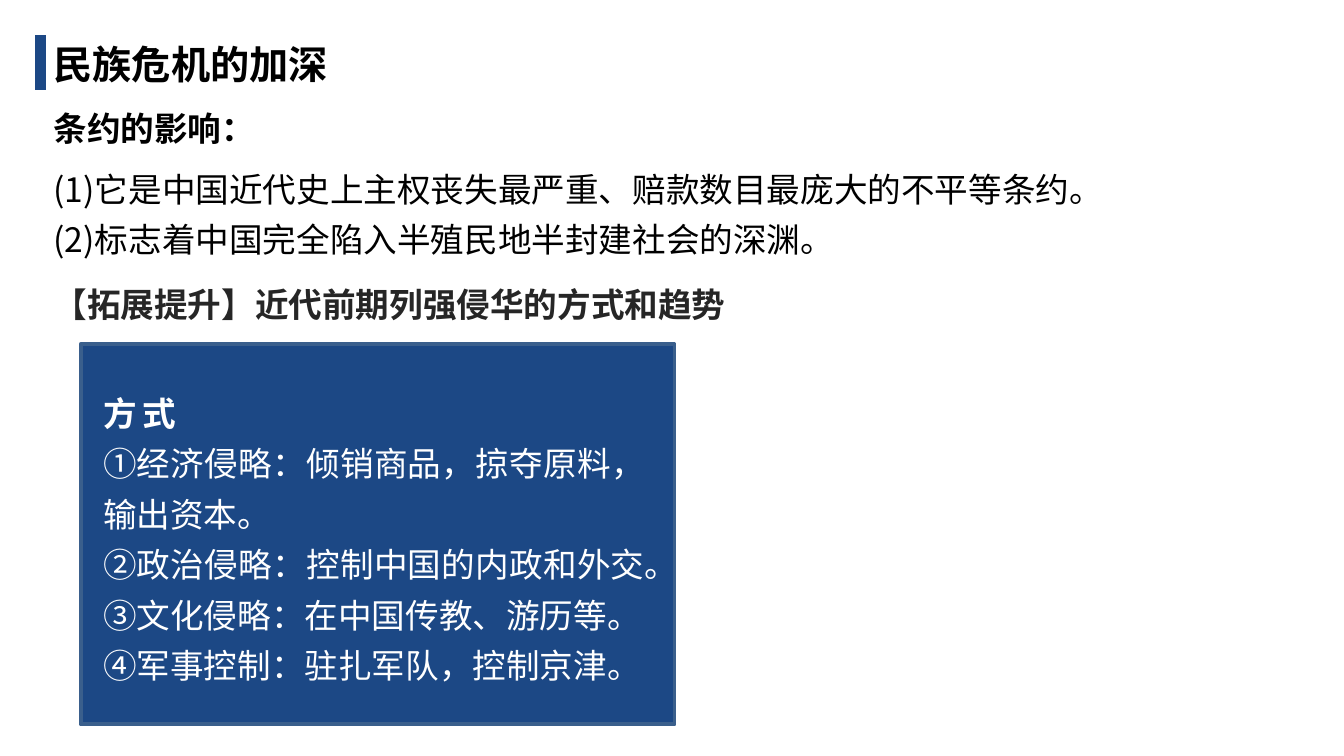
from lxml.etree import SubElement
from pptx import Presentation
from pptx.dml.color import RGBColor
from pptx.enum.shapes import MSO_CONNECTOR as Link, MSO_SHAPE as Shape
from pptx.enum.text import MSO_AUTO_SIZE as Fit, PP_ALIGN as Align
from pptx.oxml.ns import qn
from pptx.util import Pt

FONT = "Noto Sans CJK SC"
BLACK = RGBColor(0x00, 0x00, 0x00)
GREY = RGBColor(0x26, 0x26, 0x26)
WHITE = RGBColor(0xFF, 0xFF, 0xFF)
NAVY = RGBColor(0x1C, 0x48, 0x85)
EDGE = RGBColor(0x3A, 0x5F, 0x8C)

LEFT = 21.6
EFFECTS = ["经济侵略：倾销商品，掠夺原料，输出资本。",
           "政治侵略：控制中国的内政和外交。",
           "文化侵略：在中国传教、游历等。",
           "军事控制：驻扎军队，控制京津。"]


def add_run(para, text, color, size=18, bold=False, gap=0):
    run = para.add_run()
    run.text = text
    font = run.font
    font.name, font.size, font.bold = FONT, Pt(size), bold
    font.color.rgb = color
    props = run._r.get_or_add_rPr()
    SubElement(props, qn("a:ea")).set("typeface", FONT)
    if gap:
        props.set("spc", str(gap * 100))


def add_text(slide, box, lines, color, align=Align.LEFT, space=1.0):
    """Each line is its text and a dict of run options."""
    frame = slide.shapes.add_textbox(*map(Pt, box)).text_frame
    frame.word_wrap = True
    frame.auto_size = Fit.SHAPE_TO_FIT_TEXT
    for i, (text, style) in enumerate(lines):
        para = frame.add_paragraph() if i else frame.paragraphs[0]
        para.alignment = align
        para.line_spacing = space
        add_run(para, text, color, **style)


def add_bar(slide, x, top, end):
    bar = slide.shapes.add_connector(Link.STRAIGHT, Pt(x), Pt(top), Pt(x), Pt(end))
    bar.line.color.rgb = NAVY
    bar.line.width = Pt(6)
    SubElement(bar._element.spPr, qn("a:effectLst"))


def add_panel(slide, box):
    panel = slide.shapes.add_shape(Shape.RECTANGLE, *map(Pt, box))
    panel.shadow.inherit = False
    panel.fill.solid()
    panel.fill.fore_color.rgb = NAVY
    panel.line.color.rgb = EDGE
    panel.line.width = Pt(2)


def main():
    deck = Presentation()
    deck.slide_width, deck.slide_height = Pt(720), Pt(405)
    slide = deck.slides.add_slide(deck.slide_layouts[6])
    bold = {"bold": True}

    # Heading
    add_text(slide, (LEFT, 49, 678, 34.5), [("条约的影响：", bold)],
             BLACK, Align.JUSTIFY, 1.25)
    add_text(slide, (LEFT, 18, 182, 32.5),
             [("民族危机的加深", {"size": 21, "bold": True})], BLACK)
    add_bar(slide, LEFT, 18.9, 48.4)

    # Effects of the treaty
    add_text(slide, (LEFT, 81.4, 683, 62),
             [("(1)它是中国近代史上主权丧失最严重、赔款数目最庞大的不平等条约。", {}),
              ("(2)标志着中国完全陷入半殖民地半封建社会的深渊。", {})],
             BLACK, space=1.25)

    # Further study
    add_text(slide, (LEFT, 148.3, 459, 29),
             [("【拓展提升】近代前期列强侵华的方式和趋势", bold)], GREY)
    add_panel(slide, (43.2, 184.3, 318.2, 203.8))
    ways = [(mark + text, {}) for mark, text in zip("①②③④", EFFECTS)]
    add_text(slide, (48.2, 201.6, 304.6, 170.6),
             [("方式", {"bold": True, "gap": 3})] + ways,
             WHITE, Align.JUSTIFY, 1.25)

    deck.save("out.pptx")


if __name__ == "__main__":
    main()
